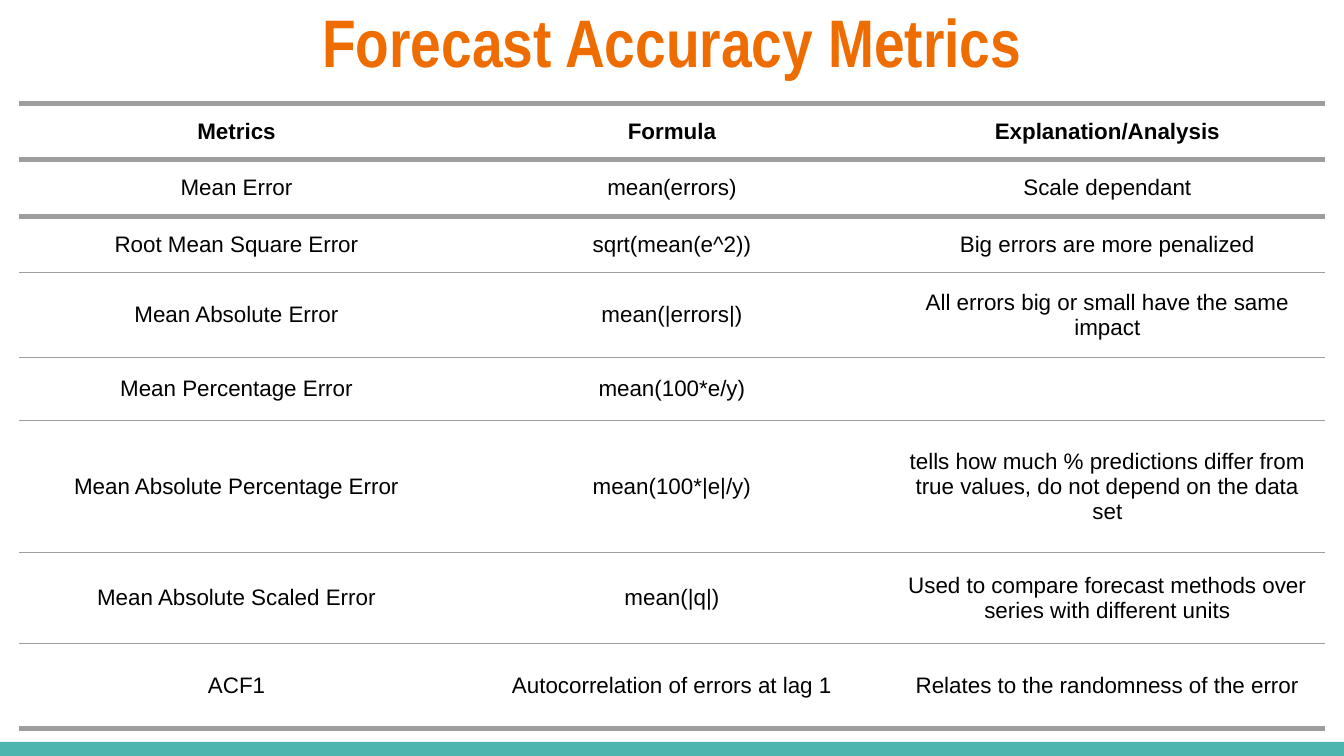
from lxml import etree
from pptx import Presentation
from pptx import util as u
from pptx.dml.color import RGBColor
from pptx.enum import shapes, text
from pptx.oxml.ns import qn

COLORS = {"title": "EF6C00", "bar": "4DB6AC", "rule": "9E9E9E", "body": "000000"}
ROWS = [
    ("Metrics", "Formula", "Explanation/Analysis"),
    ("Mean Error", "mean(errors)", "Scale dependant"),
    ("Root Mean Square Error", "sqrt(mean(e^2))", "Big errors are more penalized"),
    ("Mean Absolute Error", "mean(|errors|)", "All errors big or small have the same impact"),
    ("Mean Percentage Error", "mean(100*e/y)", ""),
    ("Mean Absolute Percentage Error", "mean(100*|e|/y)",
     "tells how much % predictions differ from true values, do not depend on the data set"),
    ("Mean Absolute Scaled Error", "mean(|q|)",
     "Used to compare forecast methods over series with different units"),
    ("ACF1", "Autocorrelation of errors at lag 1", "Relates to the randomness of the error"),
]
ROW_HEIGHTS = [0.42, 0.42, 0.42, 0.63, 0.47, 0.98, 0.68, 0.63]
RULE_WIDTHS = [3, 3, 3, 0.75, 0.75, 0.75, 0.75, 0.75, 3]
COLUMN_WIDTH = 3.24
SLIDE_WIDTH = 10
SLIDE_HEIGHT = SLIDE_WIDTH * 9 / 16


class SlideBuilder:
    def __init__(self, slide):
        self.s = slide

    def color(self, name):
        return RGBColor.from_string(COLORS[name])

    def place(self, *box):
        return [u.Inches(v) for v in box]

    def style(self, tf, size, font, color, bold):
        tf.margin_left = tf.margin_right = tf.margin_top = tf.margin_bottom = u.Inches(0.1)
        tf.word_wrap = True
        for p in tf.paragraphs:
            p.alignment = text.PP_ALIGN.CENTER
            for f in [p.font] + [r.font for r in p.runs]:
                f.size, f.name, f.bold = u.Pt(size), font, bold
                f.color.rgb = self.color(color)

    def bar(self, box, color):
        sp = self.s.shapes.add_shape(shapes.MSO_SHAPE.RECTANGLE, *self.place(*box))
        sp.shadow.inherit = False
        sp.fill.solid()
        sp.fill.fore_color.rgb = self.color(color)
        sp.line.fill.background()

    def title(self, box, wording):
        sp = self.s.shapes.add_textbox(*self.place(*box))
        tf = sp.text_frame
        tf.text = wording
        tf.vertical_anchor = text.MSO_ANCHOR.TOP
        self.style(tf, 36, "Arial Narrow", "title", True)

    def border(self, cell, side, width):
        ln = etree.SubElement(cell._tc.get_or_add_tcPr(), qn("a:ln" + side))
        if not width:
            etree.SubElement(ln, qn("a:noFill"))
            return
        ln.set("w", str(u.Pt(width)))
        fill = etree.SubElement(ln, qn("a:solidFill"))
        etree.SubElement(fill, qn("a:srgbClr")).set("val", COLORS["rule"])

    def cell(self, cell, wording, above, below, bold):
        cell.text = wording
        self.style(cell.text_frame, 12, "Arial", "body", bold)
        cell.vertical_anchor = text.MSO_ANCHOR.MIDDLE
        for side, width in zip("LRTB", (0, 0, above, below)):
            self.border(cell, side, width)
        cell.fill.background()

    def table(self, left, top, rows, heights, rules):
        n = len(rows[0])
        box = self.place(left, top, n * COLUMN_WIDTH, sum(heights))
        tbl = self.s.shapes.add_table(len(rows), n, *box).table
        tbl.first_row = tbl.horz_banding = False
        for col in tbl.columns:
            col.width = u.Inches(COLUMN_WIDTH)
        for i, row in enumerate(rows):
            tbl.rows[i].height = u.Inches(heights[i])
            for j, wording in enumerate(row):
                self.cell(tbl.cell(i, j), wording, rules[i], rules[i + 1], i == 0)


def main():
    prs = Presentation()
    prs.slide_width, prs.slide_height = u.Inches(SLIDE_WIDTH), u.Inches(SLIDE_HEIGHT)
    b = SlideBuilder(prs.slides.add_slide(prs.slide_layouts[6]))
    b.bar((0, 5.52, SLIDE_WIDTH, 0.11), "bar")
    b.title((0.34, -0.1, 9.32, 0.63), "Forecast Accuracy Metrics")
    b.table(0.14, 0.77, ROWS, ROW_HEIGHTS, RULE_WIDTHS)
    prs.save("out.pptx")


if __name__ == "__main__":
    main()
